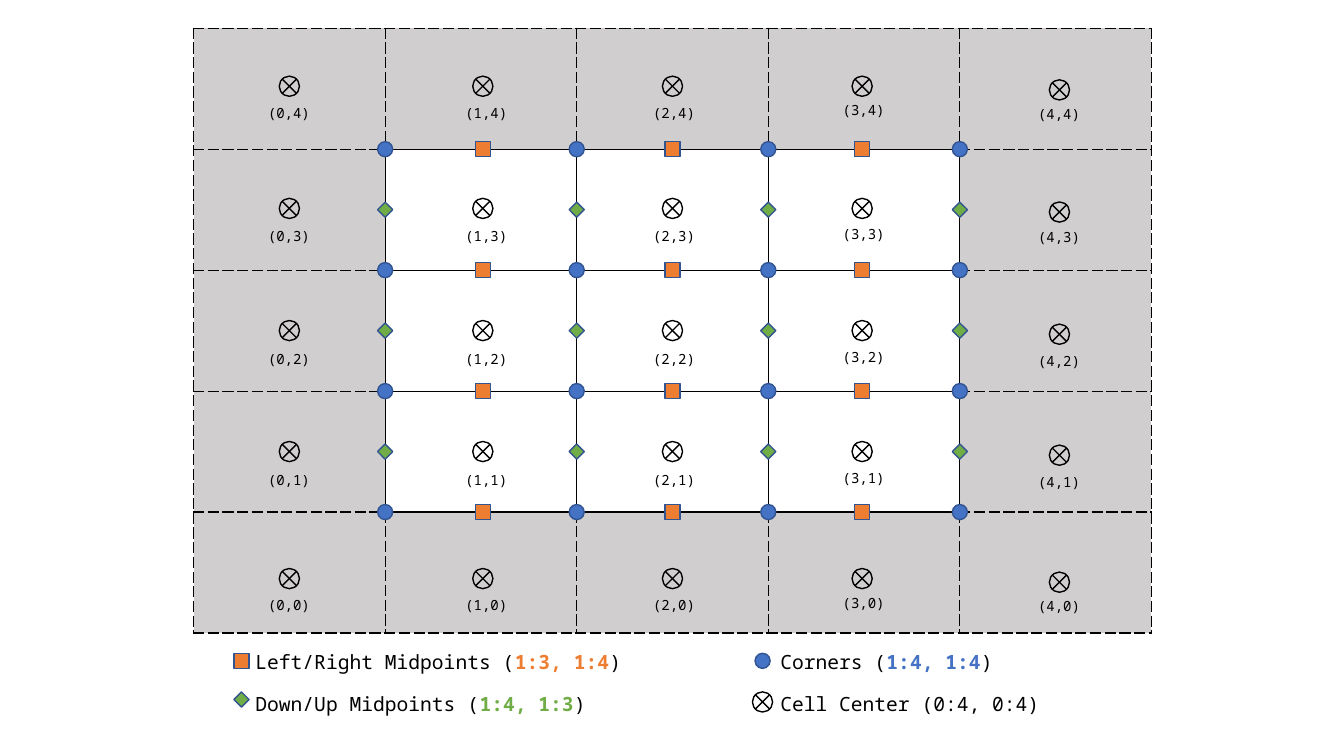
import pptx
import pptx.dml.color
import pptx.enum.shapes
import pptx.enum.text
import pptx.util
from dataclasses import dataclass
from lxml import etree
from pptx.oxml.ns import qn

Inches = pptx.util.Inches
Shape = pptx.enum.shapes.MSO_SHAPE


@dataclass(frozen=True)
class Theme:
    font: str = "Noto Sans Mono"
    label_size: int = 10
    legend_size: int = 14
    line_width: int = 1
    black: str = "000000"
    ghost: str = "D0CECE"
    inner: str = "FFFFFF"
    outline: str = "325491"
    corner: str = "4472C4"
    horizontal: str = "ED7D31"
    vertical: str = "70AD47"


THEME = Theme()
CELLS = 5
LEFT, TOP = 1.92, 0.28
COLUMN, ROW = 1.9, 1.2
MARKER, JUNCTION = 0.15, 0.2
LABEL_WIDTH, LABEL_HEIGHT = 0.62, 0.27
LEGEND_ROW = 0.41

CENTER_COLUMNS = (0.5, 1.51, 2.5, 3.49, 4.52)
CENTER_ROWS = (0.48, 1.49, 2.5, 3.5, 4.55)
CENTER_SHIFTS = (0, 0, 0, 0, 0.03)
LABEL_COLUMNS = (0.5, 1.53, 2.51, 3.5, 4.52)
LABEL_ROWS = (0.7, 1.72, 2.74, 3.74, 4.77)
LABEL_SHIFTS = (0, 0, 0, -0.02, 0.01)

MARKERS = {
    "corner": (Shape.OVAL, MARKER, THEME.corner, THEME.outline),
    "horizontal": (Shape.RECTANGLE, MARKER, THEME.horizontal, THEME.outline),
    "vertical": (Shape.DIAMOND, MARKER, THEME.vertical, THEME.outline),
    "center": (Shape.FLOWCHART_SUMMING_JUNCTION, JUNCTION, None, THEME.black),
}

LEGEND = (
    (("Left/Right Midpoints (", "1:3, 1:4", THEME.horizontal),
     ("Corners (", "1:4, 1:4", THEME.corner)),
    (("Down/Up Midpoints (", "1:4, 1:3", THEME.vertical),
     ("Cell Center (0:4, 0:4)", None, None)),
)
LEGEND_MARKERS = (
    ("horizontal", 0.25, 5.23),
    ("corner", 2.97, 5.23),
    ("vertical", 0.25, 5.55),
    ("center", 2.97, 5.57),
)


def color(value):
    return pptx.dml.color.RGBColor.from_string(value)


def grid_x(columns):
    return LEFT + columns * COLUMN


def grid_y(rows):
    return TOP + rows * ROW


def set_font(font, size):
    font.name = THEME.font
    font.size = pptx.util.Pt(size)
    font.color.rgb = color(THEME.black)


def add_marker(slide, kind, columns, rows):
    preset, size, fill, line = MARKERS[kind]
    shape = slide.shapes.add_shape(
        preset, Inches(grid_x(columns) - size / 2),
        Inches(grid_y(rows) - size / 2), Inches(size), Inches(size))
    shape.shadow.inherit = False
    if fill:
        shape.fill.solid()
        shape.fill.fore_color.rgb = color(fill)
    else:
        shape.fill.background()
    shape.line.color.rgb = color(line)
    shape.line.width = pptx.util.Pt(THEME.line_width)


def add_label(slide, text, columns, rows):
    box = slide.shapes.add_textbox(
        Inches(grid_x(columns) - LABEL_WIDTH / 2),
        Inches(grid_y(rows) - LABEL_HEIGHT / 2),
        Inches(LABEL_WIDTH), Inches(LABEL_HEIGHT))
    frame = box.text_frame
    frame.word_wrap = False
    frame.auto_size = pptx.enum.text.MSO_AUTO_SIZE.SHAPE_TO_FIT_TEXT
    frame.text = text
    set_font(frame.paragraphs[0].font, THEME.label_size)


def add_plain_table(slide, columns, rows, widths, heights):
    table = slide.shapes.add_table(
        len(heights), len(widths), Inches(grid_x(columns)), Inches(grid_y(rows)),
        Inches(sum(widths)), Inches(sum(heights))).table
    table.first_row = False
    table.horz_banding = False
    for table_column, width in zip(table.columns, widths):
        table_column.width = Inches(width)
    for table_row, height in zip(table.rows, heights):
        table_row.height = Inches(height)
    return table


def add_border(cell, side, dash):
    properties = cell._tc.get_or_add_tcPr()
    line = etree.SubElement(properties, qn("a:ln" + side),
                            w=str(pptx.util.Pt(THEME.line_width)))
    fill = etree.SubElement(line, qn("a:solidFill"))
    etree.SubElement(fill, qn("a:srgbClr"), val=THEME.black)
    etree.SubElement(line, qn("a:prstDash"), val=dash)


def is_inner(row, column):
    return 0 < row < CELLS - 1 and 0 < column < CELLS - 1


def add_mesh(slide):
    table = add_plain_table(slide, 0, 0, [COLUMN] * CELLS, [ROW] * CELLS)
    neighbours = {"L": (0, -1), "R": (0, 1), "T": (-1, 0), "B": (1, 0)}
    for row in range(CELLS):
        for column in range(CELLS):
            cell = table.cell(row, column)
            inner = is_inner(row, column)
            for side, (down, right) in neighbours.items():
                solid = inner or is_inner(row + down, column + right)
                add_border(cell, side, "solid" if solid else "sysDash")
            cell.fill.solid()
            cell.fill.fore_color.rgb = color(THEME.inner if inner else THEME.ghost)


def add_mesh_markers(slide):
    lines = range(1, CELLS)
    for column in lines:
        for row in lines:
            add_marker(slide, "corner", column, row)
    for column in CENTER_COLUMNS[1:-1]:
        for row in lines:
            add_marker(slide, "horizontal", column, row)
    for column in lines:
        for row in lines[:-1]:
            add_marker(slide, "vertical", column, row + 0.5)


def add_cell_centers(slide):
    for column in range(CELLS):
        for row in range(CELLS):
            add_marker(slide, "center", CENTER_COLUMNS[column],
                       CENTER_ROWS[row] + CENTER_SHIFTS[column])
            add_label(slide, f"({column},{CELLS - 1 - row})", LABEL_COLUMNS[column],
                      LABEL_ROWS[row] + LABEL_SHIFTS[column])


def add_legend(slide):
    table = add_plain_table(slide, 0.27, 5.09, [2.74 * COLUMN, 1.94 * COLUMN],
                            [LEGEND_ROW] * len(LEGEND))
    for row, entries in enumerate(LEGEND):
        for column, (name, extent, accent) in enumerate(entries):
            cell = table.cell(row, column)
            cell.fill.background()
            paragraph = cell.text_frame.paragraphs[0]
            set_font(paragraph.font, THEME.legend_size)
            paragraph.add_run().text = name
            if extent:
                run = paragraph.add_run()
                run.text = extent
                run.font.bold = True
                run.font.color.rgb = color(accent)
                paragraph.add_run().text = ")"
    for kind, columns, rows in LEGEND_MARKERS:
        add_marker(slide, kind, columns, rows)


def main():
    presentation = pptx.Presentation()
    presentation.slide_width = Inches(13.33)
    presentation.slide_height = Inches(7.5)
    slide = presentation.slides.add_slide(presentation.slide_layouts[6])
    add_mesh(slide)
    add_mesh_markers(slide)
    add_cell_centers(slide)
    add_legend(slide)
    presentation.save("out.pptx")


main()
